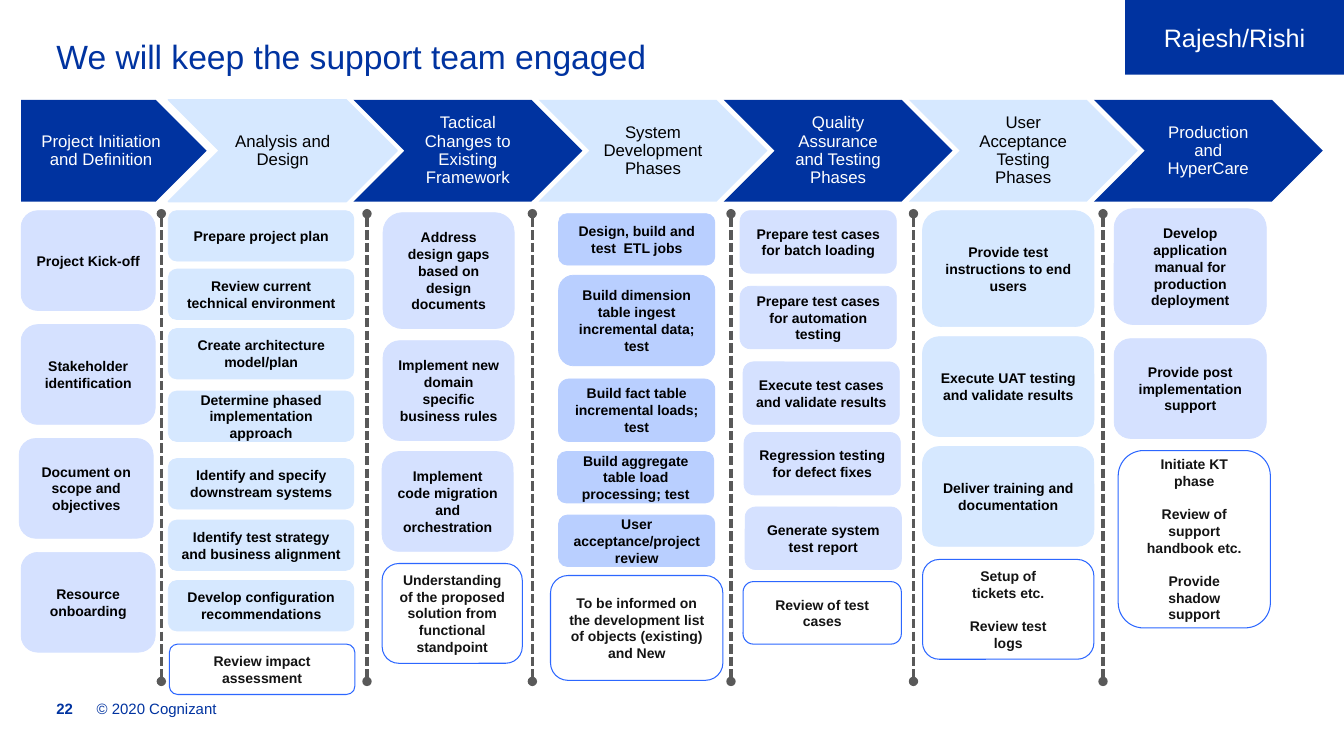
from lxml import etree
from pptx import Presentation
from pptx.dml.color import RGBColor
from pptx.enum import dml, shapes, text
from pptx.oxml import ns
from pptx.util import Inches, Pt

NAVY = RGBColor(0x00, 0x33, 0xA0)
SKY = RGBColor(0xD6, 0xE8, 0xFF)
LAVENDER = RGBColor(0xD5, 0xE1, 0xFF)
PERIWINKLE = RGBColor(0xB9, 0xCF, 0xFF)
BLUE = RGBColor(0x2C, 0x67, 0xFF)
GREY = RGBColor(0x59, 0x59, 0x59)
INK = RGBColor(0x14, 0x14, 0x14)
BLACK = RGBColor(0, 0, 0)
WHITE = RGBColor(0xFF, 0xFF, 0xFF)

MIDDLE = text.MSO_ANCHOR.MIDDLE
BOTTOM = text.MSO_ANCHOR.BOTTOM
CENTER = text.PP_ALIGN.CENTER
MS = shapes.MSO_SHAPE

PHASES = [
    "Project Initiation and Definition",
    "Analysis and Design",
    "Tactical Changes to Existing Framework",
    "System Development Phases",
    "Quality Assurance and Testing Phases",
    "User Acceptance Testing Phases",
    "Production and HyperCare",
]
FIRST_CHEVRON, LAST_CHEVRON = 1.67, 10.85
CHEVRON_STEP = (LAST_CHEVRON - FIRST_CHEVRON) / (len(PHASES) - 2)

ACTIVITIES = [
    (LAVENDER, 1.33, [
        (0.21, 2.09, 0.99, "Project Kick-off"),
        (0.21, 3.22, 0.99, "Stakeholder identification"),
        (0.19, 4.35, 0.99, "Document on scope and objectives"),
        (0.21, 5.48, 0.99, "Resource onboarding"),
    ]),
    (SKY, 1.84, [
        (1.67, 2.09, 0.5, "Prepare project plan"),
        (1.67, 2.67, 0.5, "Review current technical environment"),
        (1.67, 3.26, 0.5, "Create architecture model/plan"),
        (1.67, 3.88, 0.5, "Determine phased implementation approach"),
        (1.67, 4.55, 0.5, "Identify and specify downstream systems"),
        (1.67, 5.16, 0.5, "Identify test strategy and business alignment"),
        (1.67, 5.76, 0.5, "Develop configuration recommendations"),
    ]),
    (LAVENDER, 1.3, [
        (3.8, 2.11, 1.15, "Address design gaps based on design documents"),
        (3.8, 3.38, 0.99, "Implement new domain specific business rules"),
        (3.79, 4.48, 0.99, "Implement code migration and orchestration"),
    ]),
    (PERIWINKLE, 1.55, [
        (5.54, 2.12, 0.51, "Design, build and test  ETL jobs"),
        (5.54, 2.73, 0.9, "Build dimension table ingest incremental data; test"),
        (5.54, 3.76, 0.62, "Build fact table incremental loads; test"),
        (5.53, 4.48, 0.51, "Build aggregate table load processing; test"),
        (5.54, 5.11, 0.51, "User acceptance/project review"),
    ]),
    (LAVENDER, 1.55, [
        (7.34, 2.09, 0.62, "Prepare test cases for batch loading"),
        (7.34, 2.84, 0.62, "Prepare test cases for automation testing"),
        (7.37, 3.59, 0.62, "Execute test cases and validate results"),
        (7.38, 4.29, 0.62, "Regression testing for defect fixes"),
        (7.39, 5.03, 0.62, "Generate system test report"),
    ]),
    (SKY, 1.7, [
        (9.15, 2.09, 1.15, "Provide test instructions to end users"),
        (9.15, 3.34, 0.99, "Execute UAT testing and validate results"),
        (9.15, 4.43, 0.99, "Deliver training and documentation"),
    ]),
    (LAVENDER, 1.51, [
        (11.05, 2.07, 1.15, "Develop application manual for production deployment"),
        (11.05, 3.36, 0.99, "Provide post implementation support"),
    ]),
]

SUPPORT_TASKS = [
    ((1.68, 6.39, 1.84, 0.5), [["Review impact assessment"]]),
    ((3.79, 5.59, 1.39, 0.99),
     [["Understanding of the proposed solution from functional standpoint"]]),
    ((5.46, 5.71, 1.71, 1.04),
     [["To be informed on the development list of objects (existing) and New"]]),
    ((7.37, 5.77, 1.57, 0.62), [["Review of test", "cases"]]),
    ((9.15, 5.55, 1.7, 0.99), [["Setup of", "tickets etc."], ["Review test", "logs"]]),
    ((11.09, 4.47, 1.51, 1.76),
     [["Initiate KT", "phase"], ["Review of", "support", "handbook etc."],
      ["Provide", "shadow", "support"]]),
]
DIVIDERS = [1.6, 3.64, 5.28, 7.25, 9.06, 10.94]


def set_attrs(obj, values):
    for name, value in values.items():
        setattr(obj, name, value)


def write(tf, groups, size, color, bold=False, frame=None, para=None):
    set_attrs(tf, {"word_wrap": True, **(frame or {})})
    p = tf.paragraphs[0]
    for g, lines in enumerate(groups):
        for n, line in enumerate(lines):
            if g or n:
                p = tf.add_paragraph()
            set_attrs(p, para or {})
            if g and not n:
                p.space_before = Pt(11.5)
            r = p.add_run()
            r.text = line
            set_attrs(r.font, {"name": "Arial", "size": Pt(size), "bold": bold})
            r.font.color.rgb = color


def add_box(s, kind, place, groups, fill, size, color, line=None, width=0.5,
            bold=False, para=None):
    sp = s.shapes.add_shape(kind, *map(Inches, place))
    sp.shadow.inherit = False
    sp.fill.solid()
    sp.fill.fore_color.rgb = fill
    if line is None:
        sp.line.fill.background()
    else:
        sp.line.color.rgb = line
        sp.line.width = Pt(width)
    write(sp.text_frame, groups, size, color, bold, {"vertical_anchor": MIDDLE},
          {"alignment": CENTER, **(para or {})})


def add_label(s, place, wording, size, bold=False, anchor=BOTTOM, para=None):
    sp = s.shapes.add_textbox(*map(Inches, place))
    margins = dict.fromkeys(
        ("margin_left", "margin_top", "margin_right", "margin_bottom"), 0)
    write(sp.text_frame, [[wording]], size, NAVY, bold,
          {"vertical_anchor": anchor, **margins}, para)


def add_phase(s, i, wording):
    left = FIRST_CHEVRON + (i - 1) * CHEVRON_STEP
    kind, place = MS.CHEVRON, (left, 0.99, 2.27, 1.01)
    if i == 0:
        kind, place = MS.PENTAGON, (0.21, 0.99, 1.84, 1.01)
    fill, color = (SKY, BLACK) if i % 2 else (NAVY, WHITE)
    add_box(s, kind, place, [[wording]], fill, 12, color,
            line=SKY if i == 1 else None, width=1,
            para={"line_spacing": 0.9, "space_after": Pt(4)})


def add_divider(s, x):
    c = s.shapes.add_connector(shapes.MSO_CONNECTOR.STRAIGHT,
                               Inches(x), Inches(2.12), Inches(x), Inches(6.76))
    c.line.color.rgb = GREY
    set_attrs(c.line, {"width": Pt(2.25),
                       "dash_style": dml.MSO_LINE.SQUARE_DOT})
    ln = c.line._get_or_add_ln()
    for end in ("a:headEnd", "a:tailEnd"):
        etree.SubElement(ln, ns.qn(end), type="oval")
    etree.SubElement(c._element.spPr, ns.qn("a:effectLst"))


def main():
    prs = Presentation()
    set_attrs(prs, {"slide_width": Inches(13.33), "slide_height": Inches(7.5)})
    s = prs.slides.add_slide(prs.slide_layouts[6])

    add_label(s, (0.56, 0.4, 10.4, 0.91), "We will keep the support team engaged",
              24, anchor=text.MSO_ANCHOR.TOP, para={"line_spacing": 0.9})
    for i, wording in enumerate(PHASES):
        add_phase(s, i, wording)
    for fill, width, boxes in ACTIVITIES:
        for left, top, height, wording in boxes:
            add_box(s, MS.ROUNDED_RECTANGLE, (left, top, width, height),
                    [[wording]], fill, 10, BLACK, line=fill, bold=True)
    for place, groups in SUPPORT_TASKS:
        add_box(s, MS.ROUNDED_RECTANGLE, place, groups, WHITE, 10, INK,
                line=BLUE, width=0.75, bold=True)
    for x in DIVIDERS:
        add_divider(s, x)
    add_label(s, (0.96, 6.85, 6.67, 0.27), "© 2020 Cognizant", 10.7)
    add_label(s, (0.56, 6.94, 0.33, 0.18), "22", 10.7, bold=True)
    add_box(s, MS.RECTANGLE, (11.16, 0, 2.17, 0.74), [["Rajesh/Rishi"]],
            NAVY, 18, WHITE)
    prs.save("out.pptx")


if __name__ == "__main__":
    main()
